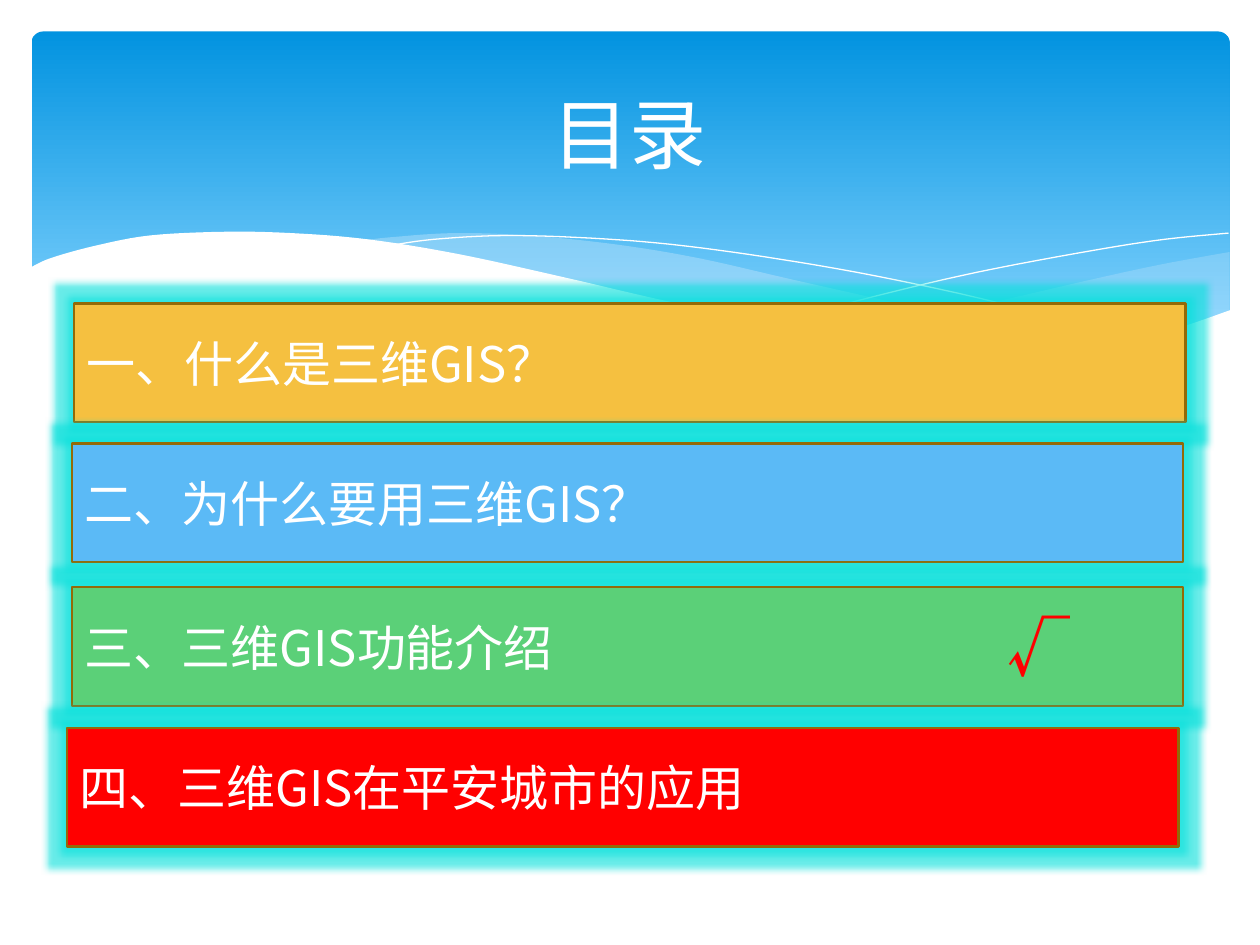
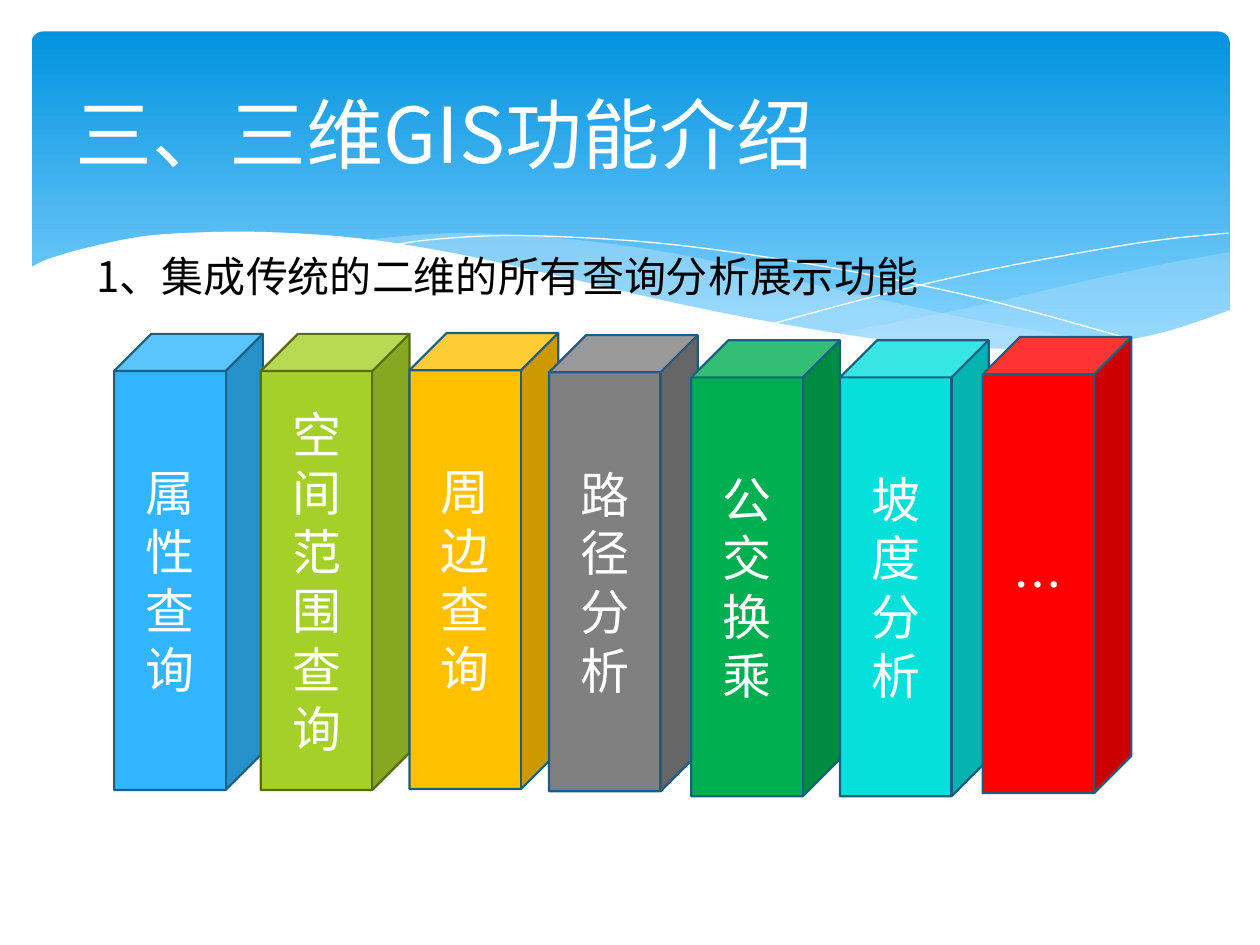
from dataclasses import dataclass

from lxml import etree
from pptx import Presentation
from pptx.dml.color import RGBColor
from pptx.enum import shapes, text
from pptx.oxml import ns
from pptx.util import Pt

# Shared colours and fonts
WHITE = RGBColor(0xFF, 0xFF, 0xFF)
BLACK = RGBColor(0, 0, 0)
RED = RGBColor(0xFF, 0, 0)
DEEP = RGBColor(0x02, 0x93, 0xE0)
LIGHT = RGBColor(0x83, 0xD3, 0xFE)
PALE = RGBColor(0xC6, 0xE7, 0xFC)
AMBER = RGBColor(0xF5, 0xC0, 0x40)
AZURE = RGBColor(0x5B, 0xBA, 0xF6)
MINT = RGBColor(0x5B, 0xD0, 0x78)
BROWN = RGBColor(0x93, 0x6A, 0x08)
SKY = RGBColor(0x31, 0xB6, 0xFD)
LIME = RGBColor(0xA5, 0xD0, 0x28)
GOLD = RGBColor(0xFF, 0xC0, 0x00)
GREY = RGBColor(0x80, 0x80, 0x80)
GREEN = RGBColor(0x00, 0xB0, 0x50)
CYAN = RGBColor(0x05, 0xE0, 0xDB)
NAVY = RGBColor(0x19, 0x5F, 0x84)
OLIVE = RGBColor(0x56, 0x6D, 0x15)
FONT = "Noto Sans CJK SC"
SIGN = "Noto Sans CJK TC"

LEFT, MID = text.PP_ALIGN.LEFT, text.PP_ALIGN.CENTER
Point = tuple[float, float]


@dataclass
class Wave:
    """Smooth edges joined end to end, filled with pale blue."""
    edges: list[list[Point]]
    alpha: int


@dataclass
class Block:
    """A filled shape with one line of text."""
    label: str
    left: float
    top: float
    fill: RGBColor
    line: RGBColor


# Wave outlines, in points
WAVES = [
    Wave([[(702.7, 144), (663, 151.2), (620, 160.6), (561, 174.2), (508, 185), (476, 190.8)],
          [(476, 190.8), (507.6, 195.1), (545, 198.7), (578, 200.2), (615, 198.7),
           (646, 194.4), (673, 188.6), (702.7, 177.8)]], 29),
    Wave([[(643, 196.6), (581, 187.2), (533.5, 177.8), (453, 159.8), (399.6, 147.6),
           (352, 139.7), (302.4, 134.6), (260, 133.2), (225.4, 135.4), (206, 137.5)],
          [(206, 137.5), (246, 143.3), (291, 151.9), (323.3, 159.8), (381.6, 172.8),
           (432.7, 183.6), (479, 191.5), (520, 197.3), (565, 200.2), (603, 200.2),
           (643, 196.6)]], 40),
]
THREADS = [
    [(222.5, 140.4), (247.7, 136.8), (288.7, 134.6), (337.7, 136.1), (383.8, 139.7),
     (437.8, 146.9), (500.4, 157.7), (572.4, 173.5), (653, 195.8)],
    [(441.4, 185), (500.4, 169.2), (558.7, 155.5), (623.5, 143.3), (665.3, 136.8),
     (702, 133.2)],
]
SHORE = [(703.4, 177.1), (669.6, 188.6), (638.6, 195.1), (592.6, 199.4), (548, 198),
         (495.4, 193), (434.2, 182.9), (380.9, 172.1), (321.8, 158.4), (262.8, 145.4),
         (210.2, 136.8), (165.6, 133.2), (127.4, 132.5), (85.7, 134.6), (54.7, 140.4),
         (28.8, 147.6), (16.6, 153.4)]
BASE = [(16.6, 236.9), (703.4, 236.9)]

# Slide contents
BARS = [
    Block("一、什么是三维GIS？", 42.5, 173.5, AMBER, BROWN),
    Block("二、为什么要用三维GIS？", 41, 253.5, AZURE, BROWN),
    Block("三、三维GIS功能介绍", 41, 335.5, MINT, BROWN),
    Block("四、三维GIS在平安城市的应用", 38.5, 416, RED, BROWN),
]
CUBES = [
    Block("属性查询", 65.2, 190.8, SKY, NAVY),
    Block("空间范围查询", 149, 190.8, LIME, OLIVE),
    Block("周边查询", 234, 190.3, GOLD, NAVY),
    Block("路径分析", 313.7, 191.5, GREY, NAVY),
    Block("公交换乘", 395, 194.4, GREEN, NAVY),
    Block("坡度分析", 480, 194.4, CYAN, NAVY),
    Block("…", 561.5, 192.6, RED, NAVY),
]


def smooth(knots: list[Point], steps: int = 6) -> list[Point]:
    """Run a Catmull-Rom curve through the knots."""
    pad = [knots[0], *knots, knots[-1]]
    out = [knots[0]]
    for a, b, c, d in zip(pad, pad[1:], pad[2:], pad[3:]):
        for step in range(1, steps + 1):
            t = step / steps
            x, y = (q + t * (r - p) / 2 + t**2 * (2*p - 5*q + 4*r - s) / 2
                    + t**3 * (3*q - p - 3*r + s) / 2 for p, q, r, s in zip(a, b, c, d))
            out.append((x, y))
    return out


def trace(slide, points: list[Point], close: bool = True):
    spots = [(Pt(x), Pt(y)) for x, y in points]
    pen = slide.shapes.build_freeform(*spots[0])
    pen.add_line_segments(spots[1:], close=close)
    shape = pen.convert_to_shape()
    shape.shadow.inherit = False
    return shape


def paint(shape, fill: RGBColor, line: RGBColor | None = None) -> None:
    shape.fill.solid()
    shape.fill.fore_color.rgb = fill
    if line is None:
        shape.line.fill.background()
    else:
        shape.line.color.rgb = line
        shape.line.width = Pt(1.25)


def fade(color, alpha: int) -> None:
    etree.SubElement(color, ns.qn("a:alpha"), val=str(alpha * 1000))


def glow(shape, color: RGBColor, size: float, alpha: int) -> None:
    group = shape.element.spPr.find(ns.qn("a:effectLst"))
    halo = etree.SubElement(group, ns.qn("a:glow"), rad=str(int(Pt(size))))
    fade(etree.SubElement(halo, ns.qn("a:srgbClr"), val=str(color)), alpha)


def write(frame, words: str, size: float, color: RGBColor, align=LEFT,
          face: str = FONT, bold: bool = False) -> None:
    para = frame.paragraphs[0]
    para.alignment = align
    run = para.add_run()
    run.text = words
    font = run.font
    font.size, font.name, font.bold = Pt(size), face, bold
    font.color.rgb = color
    etree.SubElement(run.font._element, ns.qn("a:ea"), typeface=face)


def scene(slide) -> None:
    """Blue sky band with waves along its lower edge."""
    sky = slide.shapes.add_shape(shapes.MSO_SHAPE.ROUNDED_RECTANGLE,
                                 Pt(18), Pt(18), Pt(684.7), Pt(194.4))
    sky.adjustments[0] = 0.034
    sky.shadow.inherit = False
    sky.line.fill.background()
    sky.fill.gradient()
    sky.fill.gradient_angle = 270
    for stop, color, place in zip(sky.fill.gradient_stops, (DEEP, LIGHT), (0, 0.9)):
        stop.color.rgb = color
        stop.position = place
    for wave in WAVES:
        shape = trace(slide, [p for edge in wave.edges for p in smooth(edge)])
        paint(shape, PALE)
        fade(shape.element.spPr.find(ns.qn("a:solidFill"))[0], wave.alpha)
    for knots in THREADS:
        thread = trace(slide, smooth(knots), close=False)
        thread.fill.background()
        thread.line.color.rgb = WHITE
        thread.line.width = Pt(0)
    paint(trace(slide, smooth(SHORE) + BASE), WHITE)


def start(deck, words: str, align=LEFT):
    """Add a slide with its scene and, on top, its title."""
    slide = deck.slides.add_slide(deck.slide_layouts[5])
    scene(slide)
    title = slide.shapes.title
    title.left, title.top, title.width, title.height = Pt(36), Pt(26.6), Pt(648), Pt(98.6)
    title.text_frame.vertical_anchor = text.MSO_ANCHOR.MIDDLE
    write(title.text_frame, words, 44, WHITE, align)
    title.element.getparent().append(title.element)
    return slide


def place(slide, block: Block, kind, width: float, height: float, align=LEFT):
    shape = slide.shapes.add_shape(kind, Pt(block.left), Pt(block.top), Pt(width), Pt(height))
    shape.shadow.inherit = False
    paint(shape, block.fill, block.line)
    shape.text_frame.word_wrap = True
    shape.text_frame.vertical_anchor = text.MSO_ANCHOR.MIDDLE
    write(shape.text_frame, block.label, 28, WHITE, align)
    return shape


def note(slide, left: float, top: float, width: float, height: float, wrap: bool):
    frame = slide.shapes.add_textbox(Pt(left), Pt(top), Pt(width), Pt(height)).text_frame
    frame.word_wrap = wrap
    frame.auto_size = text.MSO_AUTO_SIZE.SHAPE_TO_FIT_TEXT
    return frame


def main() -> None:
    deck = Presentation()
    deck.slide_width, deck.slide_height = Pt(720), Pt(540)

    # Contents
    slide = start(deck, "目录", MID)
    for bar in BARS:
        shape = place(slide, bar, shapes.MSO_SHAPE.RECTANGLE, 635, 67.8)
        glow(shape, CYAN, 8, 60)
    tick = note(slide, 568.8, 344.2, 57.6, 51, True)
    write(tick, "√", 36, RED, face=SIGN, bold=True)

    # Functions
    slide = start(deck, "三、三维GIS功能介绍")
    lead = note(slide, 48.2, 139.7, 489.6, 36, False)
    write(lead, "1、集成传统的二维的所有查询分析展示功能", 24, BLACK)
    for cube in CUBES:
        place(slide, cube, shapes.MSO_SHAPE.CUBE, 85, 260.6, MID)

    deck.save("out.pptx")


if __name__ == "__main__":
    main()
